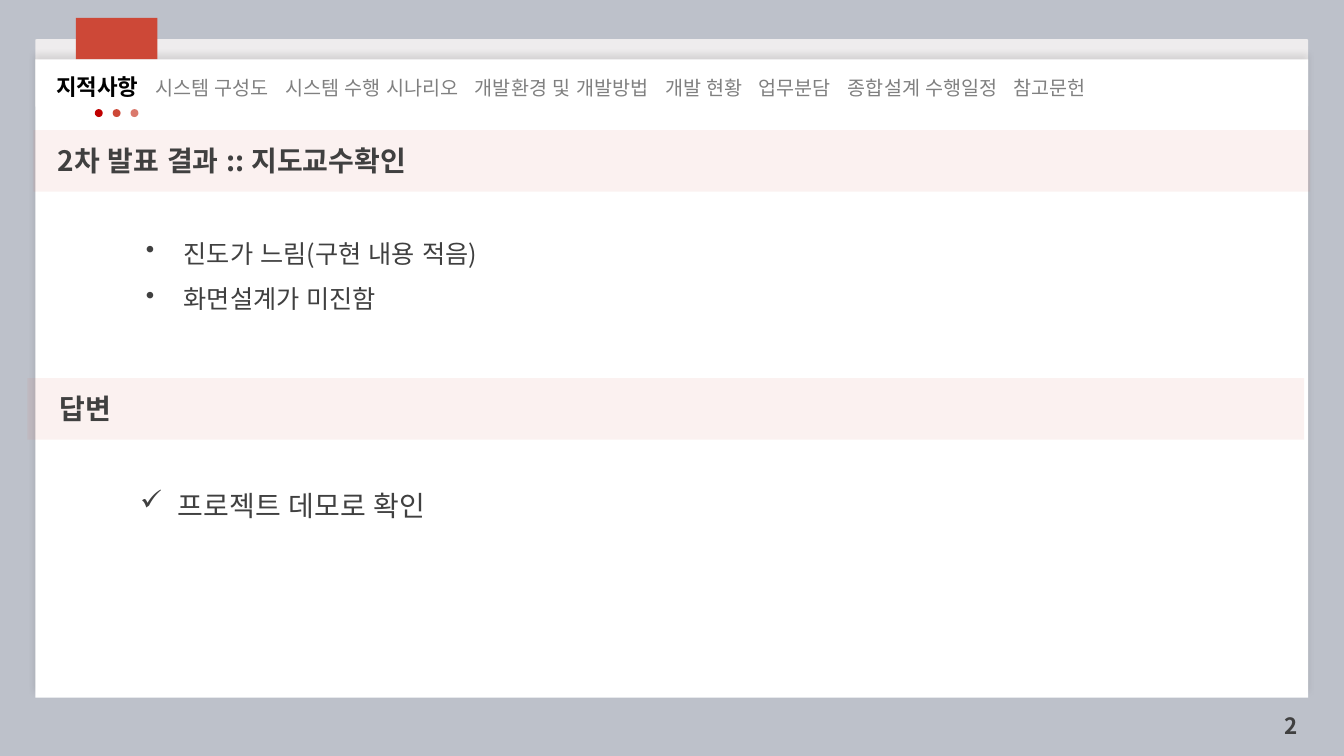
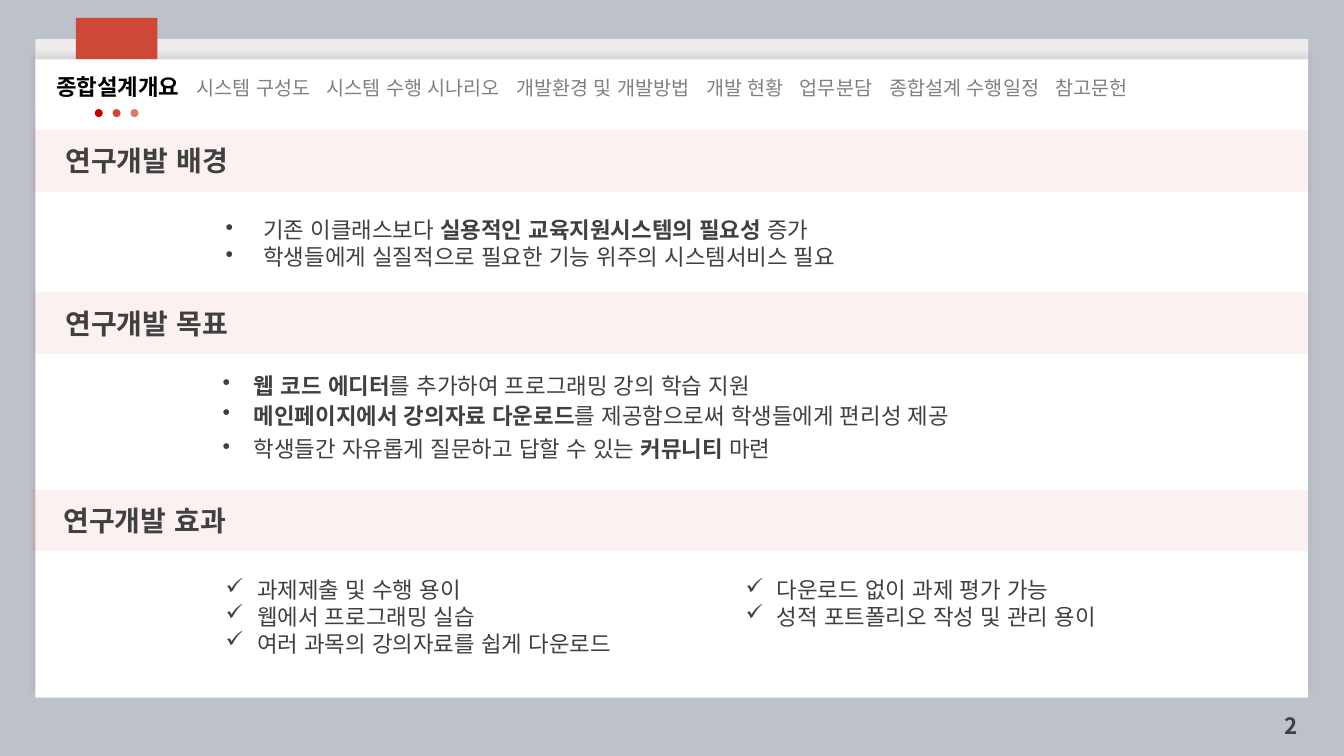
import lxml.etree
import pptx
import pptx.dml.color
import pptx.enum.lang
import pptx.enum.shapes
import pptx.enum.text
import pptx.oxml.ns
import pptx.util

Cm = pptx.util.Cm
Shapes = pptx.enum.shapes.MSO_SHAPE
Anchor = pptx.enum.text.MSO_ANCHOR
Align = pptx.enum.text.PP_ALIGN

# Shared look
FONT = "Noto Sans CJK KR"
BACKGROUND, BACK_SHEET, SHEET = "BDC1CA", "EEECED", "FFFFFF"
RED, PINK, TEXT = "CD4837", "DA796C", "404040"
DOT_COLOURS = ["C00000", RED, PINK]
SHEET_LEFT, SHEET_WIDTH = 0.89, 32.08
BAND_WIDTH, BAND_HEIGHT = 32.18, 1.55
HEADING = {"size": 20, "bold": True}
PAGE_NUMBER = {"size": 16, "bold": True}
CURRENT_SECTION = {"size": 16, "bold": True, "color": "000000"}
OTHER_SECTION = {"size": 14, "color": "808080"}
SECTIONS = ["시스템 구성도", "시스템 수행 시나리오", "개발환경 및 개발방법",
            "개발 현황", "업무분담", "종합설계 수행일정", "참고문헌"]
SECTION_OFFSETS = [0, 3.28, 8.06, 12.85, 15.21, 17.46, 21.64]


def colour(hex_value):
    return pptx.dml.color.RGBColor.from_string(hex_value)


def add_xml(parent, tag, **attributes):
    element = lxml.etree.SubElement(parent, pptx.oxml.ns.qn(tag))
    for name, value in attributes.items():
        element.set(name, str(value))
    return element


def add_block(slide, kind, box, fill, opacity=None):
    """Borderless filled shape; opacity in percent."""
    shape = slide.shapes.add_shape(kind, *map(Cm, box))
    shape.shadow.inherit = False
    shape.fill.solid()
    shape.fill.fore_color.rgb = colour(fill)
    shape.line.fill.background()
    if opacity is not None:
        fill_colour = shape.fill._xPr.find(".//" + pptx.oxml.ns.qn("a:srgbClr"))
        add_xml(fill_colour, "a:alpha", val=opacity * 1000)
    return shape


def add_run(paragraph, text, style):
    run = paragraph.add_run()
    run.text = text
    values = {"name": FONT, "bold": False, "color": TEXT,
              "language_id": pptx.enum.lang.MSO_LANGUAGE_ID.KOREAN, **style}
    run.font.color.rgb = colour(values.pop("color"))
    values["size"] = pptx.util.Pt(values["size"])
    for name, value in values.items():
        setattr(run.font, name, value)
    add_xml(run.font._element, "a:ea", typeface=FONT)


def add_text_box(slide, box, anchor=Anchor.TOP):
    frame = slide.shapes.add_textbox(*map(Cm, box)).text_frame
    frame.word_wrap = True
    frame.vertical_anchor = anchor
    return frame


def add_list(slide, box, items, size=16, bullet="•", indent=0.79, spacing=1.0):
    """Bulleted list; each item is a list of (text, bold) parts."""
    frame = add_text_box(slide, box)
    for index, parts in enumerate(items):
        paragraph = frame.add_paragraph() if index else frame.paragraphs[0]
        paragraph.line_spacing = spacing
        properties = paragraph._p.get_or_add_pPr()
        properties.set("marL", str(Cm(indent)))
        properties.set("indent", str(-Cm(indent)))
        add_xml(properties, "a:buChar", char=bullet)
        for text, bold in parts:
            add_run(paragraph, text, {"size": size, "bold": bold})


def plain(*lines):
    return [[(line, False)] for line in lines]


def add_heading_band(slide, left, top, title, title_width=5.3, title_offset=0.56):
    add_block(slide, Shapes.RECTANGLE, (left, top, BAND_WIDTH, BAND_HEIGHT), PINK, 10)
    frame = add_text_box(slide, (left + title_offset, top + 0.22, title_width, 1.12))
    add_run(frame.paragraphs[0], title, HEADING)


def add_sheet(slide):
    back = add_block(slide, Shapes.ROUNDED_RECTANGLE,
                     (SHEET_LEFT, 0.99, SHEET_WIDTH, 1.7), BACK_SHEET)
    back.adjustments[0] = 0.015
    sheet = add_block(slide, Shapes.RECTANGLE,
                      (SHEET_LEFT, 1.5, SHEET_WIDTH, 16.08), SHEET)
    effects = sheet._element.spPr.find(pptx.oxml.ns.qn("a:effectLst"))
    shadow = add_xml(effects, "a:outerShdw", blurRad=pptx.util.Pt(4),
                     dist=pptx.util.Pt(3), dir=270 * 60000, rotWithShape=0)
    add_xml(add_xml(shadow, "a:srgbClr", val="000000"), "a:alpha", val=10000)


def add_navigation(slide, box, current, first_stop):
    """Current section followed by the other sections at tab stops."""
    paragraph = add_text_box(slide, box, Anchor.MIDDLE).paragraphs[0]
    tabs = add_xml(paragraph._p.get_or_add_pPr(), "a:tabLst")
    for offset in SECTION_OFFSETS:
        add_xml(tabs, "a:tab", pos=Cm(first_stop + offset), algn="l")
    add_run(paragraph, current, CURRENT_SECTION)
    add_run(paragraph, "\t" + "\t".join(SECTIONS), OTHER_SECTION)


def add_base_slide(presentation, current, first_stop, number):
    slide = presentation.slides.add_slide(presentation.slide_layouts[6])
    slide.background.fill.solid()
    slide.background.fill.fore_color.rgb = colour(BACKGROUND)
    add_sheet(slide)
    # Red marker and dots
    add_block(slide, Shapes.RECTANGLE, (1.91, 0.45, 2.06, 1.04), RED)
    for index, dot_colour in enumerate(DOT_COLOURS):
        add_block(slide, Shapes.OVAL, (2.39 + 0.45 * index, 2.75, 0.2, 0.2), dot_colour)
    add_navigation(slide, (1.17, 1.7, 31.78, 0.94), current, first_stop)
    # Page number
    paragraph = add_text_box(slide, (32.13, 17.81, 0.81, 0.94), Anchor.MIDDLE).paragraphs[0]
    paragraph.alignment = Align.RIGHT
    add_run(paragraph, number, PAGE_NUMBER)
    return slide


def build_review_slide(presentation):
    slide = add_base_slide(presentation, "지적사항", 2.49, "2")
    add_heading_band(slide, 0.84, 3.28, "2차 발표 결과 :: 지도교수확인", 10.4, 0.36)
    add_list(slide, (3.43, 5.49, 9.8, 2.41),
             plain("진도가 느림(구현 내용 적음)", "화면설계가 미진함"),
             size=18, indent=0.95, spacing=1.5)
    add_heading_band(slide, 0.69, 9.53, "답변")
    add_list(slide, (3.28, 11.76, 8.6, 1.55), plain("프로젝트 데모로 확인"),
             size=20, bullet="✓", indent=0.95, spacing=1.5)


def build_overview_slide(presentation):
    slide = add_base_slide(presentation, "종합설계개요", 3.53, "2")
    # Background
    add_heading_band(slide, 0.84, 3.28, "연구개발 배경")
    add_list(slide, (5.44, 5.33, 17.3, 1.63), [
        [("기존 이클래스보다 ", False), ("실용적인 교육지원시스템의 필요성 ", True),
         ("증가", False)],
        *plain("학생들에게 실질적으로 필요한 기능 위주의 시스템서비스 필요"),
    ], indent=0.95)
    # Goals
    add_heading_band(slide, 0.84, 7.37, "연구개발 목표")
    goals = [
        (9.25, 15.2, [("웹 코드 에디터", True),
                      ("를 추가하여 프로그래밍 강의 학습 지원", False)]),
        (10.01, 20.5, [("메인페이지에서 강의자료 다운로드", True),
                       ("를 제공함으로써 학생들에게 편리성 제공", False)]),
        (10.85, 15.7, [("학생들간 자유롭게 질문하고 답할 수 있는 ", False),
                       ("커뮤니티", True), (" 마련", False)]),
    ]
    for top, width, parts in goals:
        add_list(slide, (5.36, top, width, 0.94), [parts])
    # Effects
    add_heading_band(slide, 0.79, 12.34, "연구개발 효과")
    add_list(slide, (5.44, 14.4, 11.3, 2.31),
             plain("과제제출 및 수행 용이", "웹에서 프로그래밍 실습",
                   "여러 과목의 강의자료를 쉽게 다운로드"), bullet="✓")
    add_list(slide, (18.54, 14.4, 10.4, 1.63),
             plain("다운로드 없이 과제 평가 가능", "성적 포트폴리오 작성 및 관리 용이"),
             bullet="✓")


def main():
    presentation = pptx.Presentation()
    presentation.slide_width = Cm(33.87)
    presentation.slide_height = Cm(19.05)
    build_review_slide(presentation)
    build_overview_slide(presentation)
    presentation.save("out.pptx")


if __name__ == "__main__":
    main()
